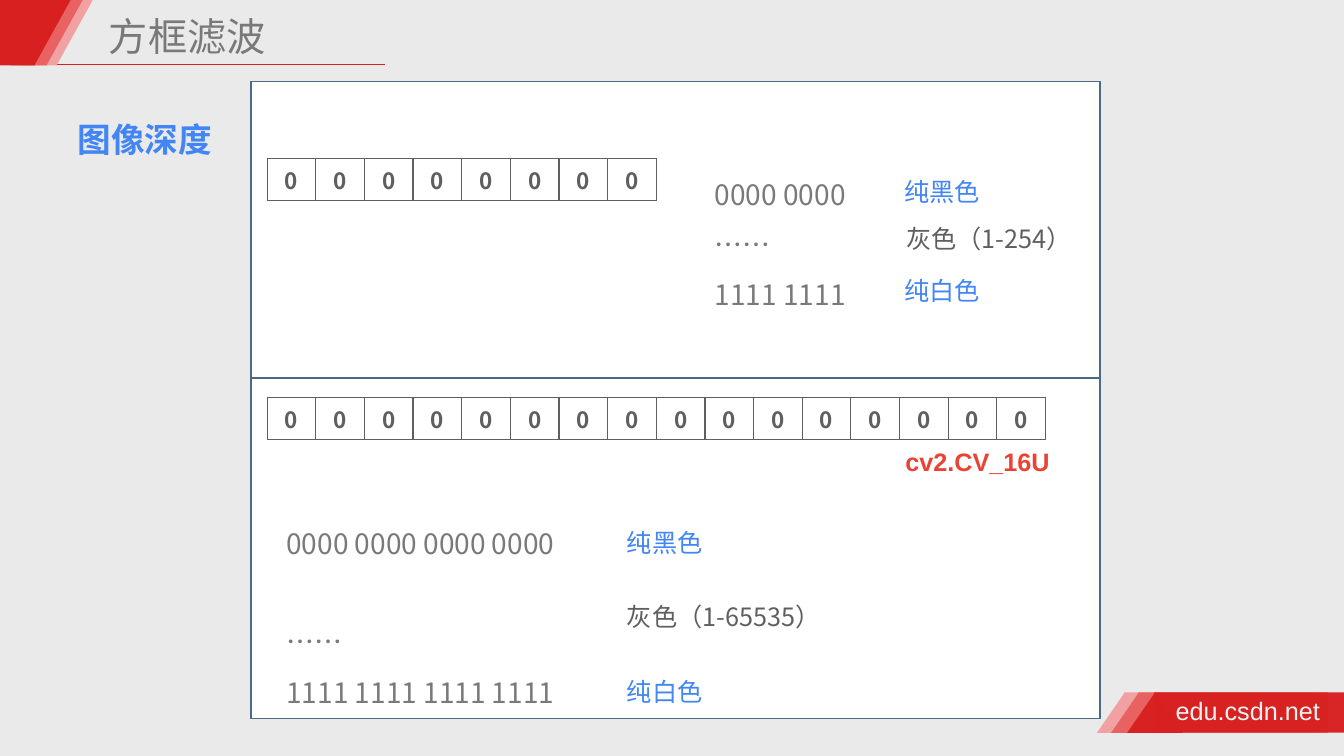
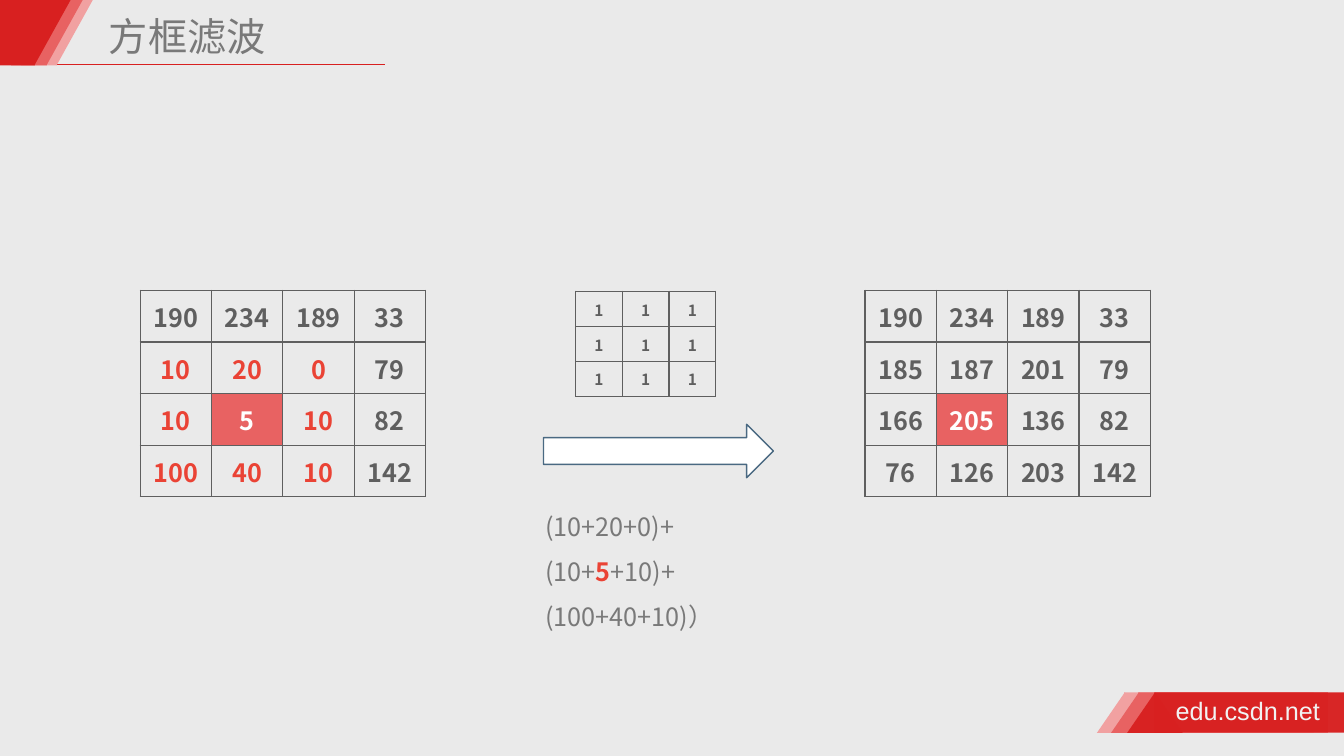
from dataclasses import dataclass

from lxml.etree import SubElement
from pptx import Presentation
from pptx.dml.color import RGBColor
from pptx.enum.shapes import MSO_CONNECTOR, MSO_SHAPE
from pptx.enum.text import MSO_ANCHOR, MSO_AUTO_SIZE, PP_ALIGN
from pptx.oxml.ns import qn
from pptx.util import Inches, Pt


@dataclass(frozen=True)
class Theme:
    background: str = "EAEAEA"
    white: str = "FFFFFF"
    footer_text: str = "F2F2F2"
    red: str = "D82020"
    coral: str = "E86262"
    pink: str = "F1A1A1"
    accent: str = "EA4335"
    blue: str = "4285F4"
    outline: str = "4A6982"
    dark: str = "5F5F5F"
    gray: str = "797979"
    font: str = "Noto Sans CJK SC"
    latin_font: str = "Arial"
    title_size: int = 28
    heading_size: int = 24
    code_size: int = 20
    body_size: int = 18
    bit_size: int = 16
    kernel_size: int = 11


THEME = Theme()


def rgb(color):
    return RGBColor.from_string(color)


class SlideBuilder:
    def __init__(self, deck, theme):
        self.deck = deck
        self.theme = theme
        self.slide = None
        background = deck.slide_master.background.fill
        background.solid()
        background.fore_color.rgb = rgb(theme.background)

    def new_slide(self, title):
        self.slide = self.deck.slides.add_slide(self.deck.slide_layouts[5])
        self.header()
        self.footer()
        self.title(title)

    def style_span(self, span, size, color, bold=False, font=None):
        name = font or self.theme.font
        span.font.size = Pt(size)
        span.font.bold = bold
        span.font.color.rgb = rgb(color)
        span.font.name = name
        SubElement(span.font._element, qn("a:ea"), typeface=name)

    def frame(self, box, inset):
        """Prepare a text frame: wrapped, top anchored, fixed size."""
        frame = box.text_frame
        frame.word_wrap = True
        frame.auto_size = MSO_AUTO_SIZE.NONE
        frame.vertical_anchor = MSO_ANCHOR.TOP
        frame.margin_left = frame.margin_right = Inches(inset)
        frame.margin_top = frame.margin_bottom = Inches(0.05)
        return frame

    def title(self, text):
        box = self.slide.shapes.title
        box.left, box.top = Inches(1.03), Inches(0.12)
        box.width, box.height = Inches(4.36), Inches(0.53)
        frame = self.frame(box, 0.05)
        frame.text = text
        para = frame.paragraphs[0]
        para.alignment = PP_ALIGN.LEFT
        para.line_spacing = 0.9
        self.style_span(para.runs[0], self.theme.title_size, self.theme.gray)

    def label(self, left, top, width, height, paragraphs, size, color, bold=False,
              font=None, inset=0.1, spacing=1.5, align=PP_ALIGN.LEFT):
        """Add text; in a paragraph given as a tuple, every second span is emphasised."""
        box = self.slide.shapes.add_textbox(
            Inches(left), Inches(top), Inches(width), Inches(height))
        frame = self.frame(box, inset)
        for index, content in enumerate(paragraphs):
            para = frame.paragraphs[0] if index == 0 else frame.add_paragraph()
            para.alignment = align
            para.line_spacing = spacing
            spans = (content,) if isinstance(content, str) else content
            for position, text in enumerate(spans):
                span = para.add_run()
                span.text = text
                emphasised = position % 2 == 1
                self.style_span(span, size, self.theme.accent if emphasised else color,
                                bold or emphasised, font)
        return frame

    def shape(self, kind, left, top, width, height, fill, line=None, opacity=None):
        shape = self.slide.shapes.add_shape(
            kind, Inches(left), Inches(top), Inches(width), Inches(height))
        shape.shadow.inherit = False
        shape.fill.solid()
        shape.fill.fore_color.rgb = rgb(fill)
        if opacity:
            color = shape._element.spPr.find(".//" + qn("a:srgbClr"))
            SubElement(color, qn("a:alpha"), val=str(opacity * 1000))
        if line:
            shape.line.color.rgb = rgb(line)
            shape.line.width = Pt(1)
        else:
            shape.line.fill.background()
        return shape

    def header(self):
        theme = self.theme
        rule = self.slide.shapes.add_connector(
            MSO_CONNECTOR.STRAIGHT, Inches(0.49), Inches(0.64), Inches(3.82), Inches(0.64))
        rule.line.color.rgb = rgb(theme.red)
        rule.line.width = Pt(1)
        SubElement(rule._element.spPr, qn("a:effectLst"))
        for left, color in ((0.2, theme.pink), (0.1, theme.coral), (-0.02, theme.red)):
            self.shape(MSO_SHAPE.RECTANGLE, left + 0.01, 0, 0.35, 0.65, color)
            slant = self.shape(MSO_SHAPE.ISOSCELES_TRIANGLE, left, 0, 0.72, 0.65, color)
            slant.rotation = 180

    def footer(self):
        theme = self.theme
        bands = ((10.88, theme.pink, None), (11.02, theme.coral, None), (11.18, theme.red, 97))
        for left, color, opacity in bands:
            self.shape(MSO_SHAPE.RECTANGLE, left + 0.27, 6.87, 1.88, 0.4, color,
                       opacity=opacity)
            self.shape(MSO_SHAPE.ISOSCELES_TRIANGLE, left, 6.87, 0.55, 0.4, color,
                       opacity=opacity)
        self.label(11.61, 6.85, 1.7, 0.4, ["edu.csdn.net"], theme.body_size,
                   theme.footer_text, font=theme.latin_font, inset=0.05, spacing=1)

    def border(self, cell):
        properties = cell._tc.get_or_add_tcPr()
        for side in ("lnL", "lnR", "lnT", "lnB"):
            line = SubElement(properties, qn(f"a:{side}"), w=str(Pt(1)))
            fill = SubElement(line, qn("a:solidFill"))
            SubElement(fill, qn("a:srgbClr"), val=self.theme.dark)

    def grid(self, left, top, width, height, rows, size, tight=True,
             neighbours=(), centre=None):
        """Add a number table; neighbours and centre are (row, column) positions."""
        theme = self.theme
        table = self.slide.shapes.add_table(
            len(rows), len(rows[0]), Inches(left), Inches(top),
            Inches(width), Inches(height)).table
        table.first_row = table.horz_banding = False
        for row_index, values in enumerate(rows):
            for column_index, value in enumerate(values):
                cell = table.cell(row_index, column_index)
                position = (row_index, column_index)
                self.border(cell)
                color = theme.accent if position in neighbours else theme.dark
                if position == centre:
                    color = theme.white
                    cell.fill.solid()
                    cell.fill.fore_color.rgb = rgb(theme.coral)
                else:
                    cell.fill.background()
                if tight:
                    cell.margin_left = cell.margin_right = cell.margin_top = Inches(0.01)
                    cell.margin_bottom = 0
                cell.vertical_anchor = MSO_ANCHOR.MIDDLE
                cell.text_frame.text = str(value)
                para = cell.text_frame.paragraphs[0]
                para.alignment = PP_ALIGN.CENTER
                self.style_span(para.runs[0], size, color, bold=True)


def build_depth_slide(builder):
    theme = builder.theme
    builder.new_slide("方框滤波")
    for top in (0.81, 3.75):
        builder.shape(MSO_SHAPE.RECTANGLE, 2.49, top, 8.42, 3.38, theme.white, theme.outline)
    builder.label(0.67, 0.93, 2.15, 0.64, ["图像深度"], theme.heading_size, theme.blue, bold=True)

    byte_width = 3.86
    for left, top in ((2.65, 1.57), (2.65, 3.94), (2.65 + byte_width, 3.94)):
        builder.grid(left, top, byte_width, 0.41, [[0] * 8], theme.bit_size, tight=False)

    builder.label(7.04, 1.54, 1.5, 1.62, ["0000 0000", "……", "1111 1111"],
                  theme.code_size, theme.gray, inset=0.05)
    codes = builder.label(2.79, 5.01, 2.98, 2.12,
                          ["0000 0000 0000 0000", "……", "1111 1111 1111 1111"],
                          theme.code_size, theme.gray, inset=0.05)
    codes.paragraphs[1].space_before = Pt(34)

    meanings = (
        (8.87, 1.55, "纯黑色", theme.blue),
        (8.89, 2.02, "灰色（1-254）", theme.dark),
        (8.87, 2.53, "纯白色", theme.blue),
        (6.12, 5.03, "纯黑色", theme.blue),
        (6.12, 5.77, "灰色（1-65535）", theme.dark),
        (6.12, 6.51, "纯白色", theme.blue),
    )
    for left, top, text, color in meanings:
        builder.label(left, top, 4.02, 0.5, [text], theme.body_size, color)
    builder.label(8.87, 4.38, 1.65, 0.4, ["cv2.CV_16U"], theme.body_size, theme.accent,
                  bold=True, font=theme.latin_font, inset=0.05, spacing=1,
                  align=PP_ALIGN.CENTER)


def build_filter_slide(builder):
    theme = builder.theme
    builder.new_slide("方框滤波")
    centre = (2, 1)
    neighbours = [(row, column) for row in range(1, 4) for column in range(3)]
    before = [[190, 234, 189, 33], [10, 20, 0, 79], [10, 5, 10, 82], [100, 40, 10, 142]]
    after = [[190, 234, 189, 33], [185, 187, 201, 79], [166, 205, 136, 82], [76, 126, 203, 142]]
    builder.grid(1.39, 2.88, 2.83, 2.05, before, theme.body_size,
                 neighbours=neighbours, centre=centre)
    builder.shape(MSO_SHAPE.RIGHT_ARROW, 5.39, 4.21, 2.28, 0.53, theme.white, theme.outline)
    builder.grid(5.71, 2.89, 1.39, 1.04, [[1] * 3] * 3, theme.kernel_size)
    builder.grid(8.58, 2.88, 2.83, 2.05, after, theme.body_size, centre=centre)
    builder.label(5.36, 4.87, 3.26, 1.46,
                  ["(10+20+0)+", ("(10+", "5", "+10)+"), "(100+40+10)）"],
                  theme.body_size, theme.gray, inset=0.05)


def main():
    deck = Presentation()
    deck.slide_width, deck.slide_height = Inches(13.33), Inches(7.5)
    builder = SlideBuilder(deck, THEME)
    build_depth_slide(builder)
    build_filter_slide(builder)
    deck.save("out.pptx")


if __name__ == "__main__":
    main()
